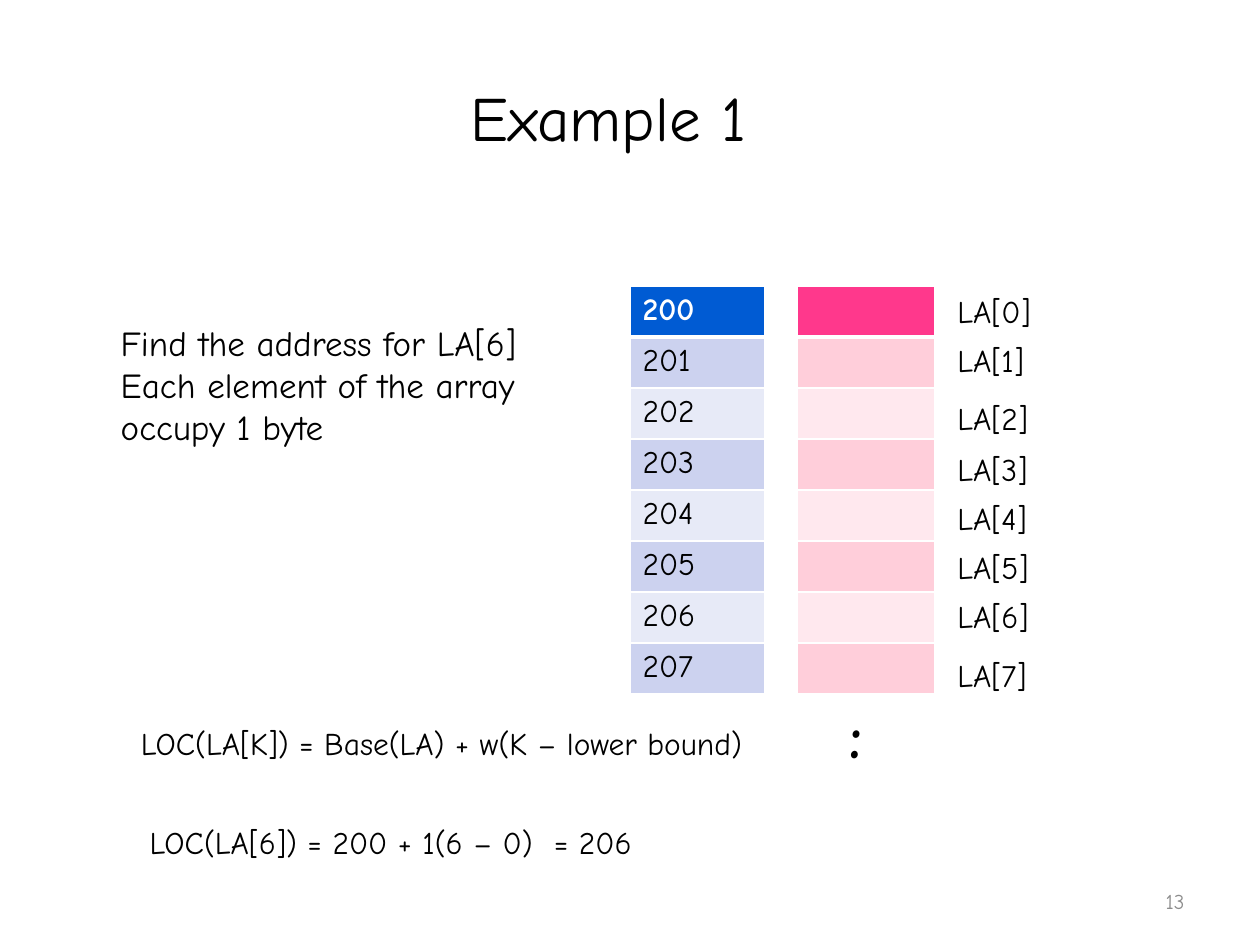
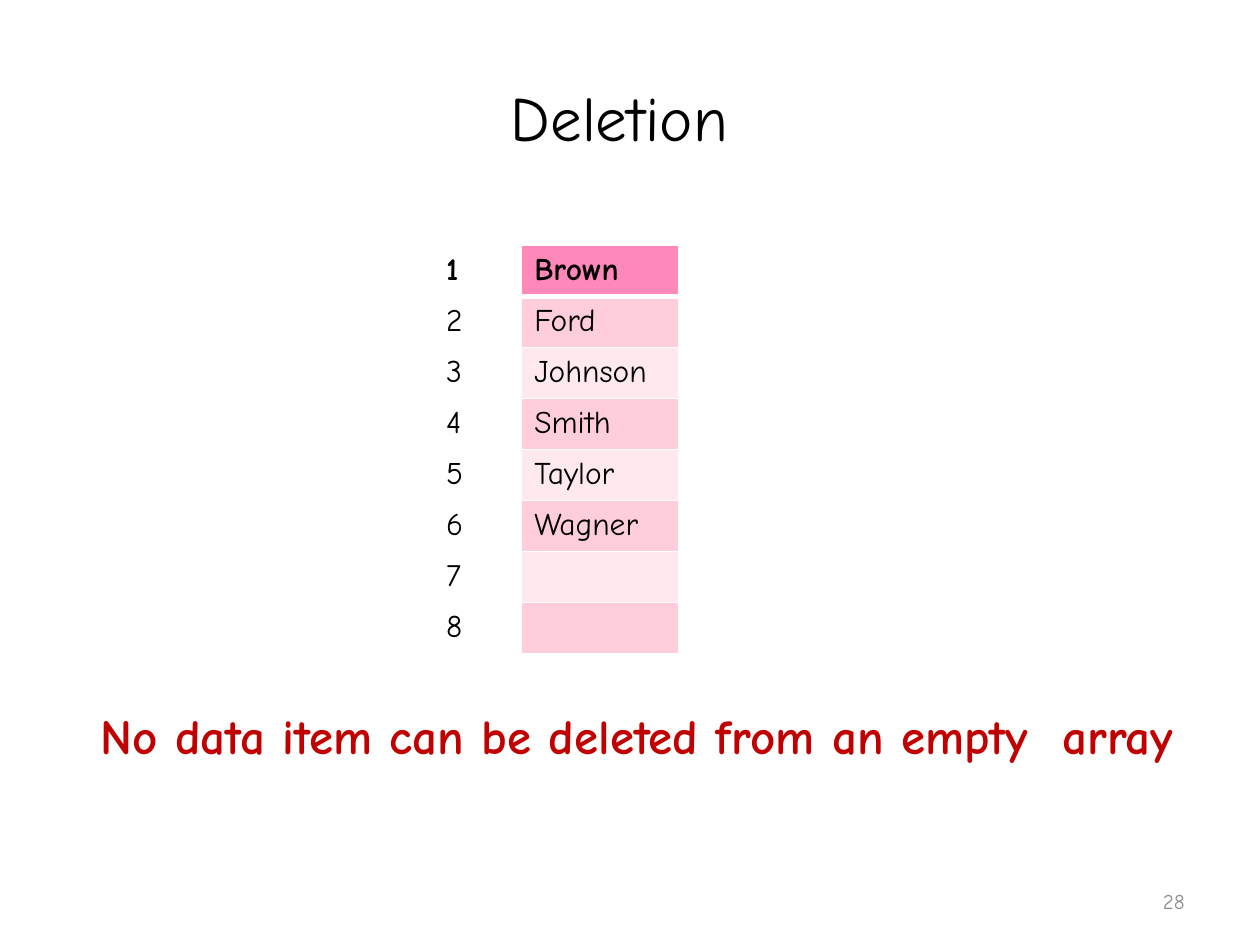
"""Build two slides on arrays: finding an address and deleting an item."""
from lxml import etree
from pptx import Presentation
from pptx.dml.color import RGBColor
from pptx.enum.text import MSO_ANCHOR, PP_ALIGN
from pptx.oxml.ns import qn
from pptx.util import Inches, Pt

LEFT, MID, RIGHT = PP_ALIGN.LEFT, PP_ALIGN.CENTER, PP_ALIGN.RIGHT
TOP, CENTER = MSO_ANCHOR.TOP, MSO_ANCHOR.MIDDLE
color = RGBColor.from_string
FONT = "Comic Neue"
BLACK, WHITE, GRAY, RED = "000000", "FFFFFF", "8C8C8C", "C00000"
PINKS = ["FFCEDA", "FFE8EE"]
BLUES = ["CCD2EF", "E7EAF7"]


def write(slide, text, box, size=18, ink=BLACK, bold=False, align=LEFT, anchor=TOP):
    frame = slide.shapes.add_textbox(*map(Inches, box)).text_frame
    frame.word_wrap = True
    frame.vertical_anchor = anchor
    frame.text = text
    for para in frame.paragraphs:
        para.alignment = align
        para.font.name, para.font.size, para.font.bold = FONT, Pt(size), bold
        para.font.color.rgb = color(ink)


def grid(slide, left, top, columns):
    count = len(columns[0][1])
    width = sum(column[0] for column in columns)
    table = slide.shapes.add_table(count, len(columns), Inches(left), Inches(top),
                                   Inches(width), Inches(3.24)).table
    table.first_row = table.horz_banding = False
    for col, (wide, words, head, ink, bands) in enumerate(columns):
        table.columns[col].width = Inches(wide)
        for row, word in enumerate(words):
            cell = table.cell(row, col)
            cell.text = word
            font = cell.text_frame.paragraphs[0].font
            font.name, font.size, font.bold = FONT, Pt(18), row == 0
            font.color.rgb = color(BLACK if row else ink)
            if bands:
                cell.fill.solid()
                cell.fill.fore_color.rgb = color(bands[(row - 1) % 2] if row else head)
            else:
                cell.fill.background()
            weights = {"lnL": 1, "lnR": 1, "lnT": 3 if row == 1 else 1,
                       "lnB": 1 if row else 3}
            for place, (side, points) in enumerate(weights.items()):
                line = etree.Element(qn("a:" + side), w=str(Pt(points)))
                solid = etree.SubElement(line, qn("a:solidFill"))
                etree.SubElement(solid, qn("a:srgbClr"), val=WHITE)
                cell._tc.get_or_add_tcPr().insert(place, line)


deck = Presentation()
deck.slide_width, deck.slide_height = Inches(10), Inches(7.5)
slides = []
for title, number in [("Example 1  ", "13"), ("Deletion ", "28")]:
    slide = deck.slides.add_slide(deck.slide_layouts[6])
    write(slide, title, (0.5, 0.3, 9, 1.25), 36, align=MID, anchor=CENTER)
    write(slide, number, (7.17, 6.95, 2.33, 0.4), 12, GRAY, align=RIGHT, anchor=CENTER)
    slides.append(slide)
example, deletion = slides

grid(example, 6.33, 2.27, [(1.09, [""] * 8, "FF388C", WHITE, PINKS)])
cells = [str(200 + k) for k in range(8)]
grid(example, 5, 2.27, [(1.07, cells, "005BD3", WHITE, BLUES)])
for k, top in enumerate([2.27, 2.66, 3.12, 3.52, 3.91, 4.3, 4.69, 5.16]):
    write(example, f"LA[{k}]", (7.5, top, 0.94, 0.4))
write(example, "Find the address for LA[6]\nEach element of the array occupy 1 byte  ",
      (0.86, 2.5, 3.98, 1.11), 20)
write(example, "LOC(LA[K]) = Base(LA) + w(K – lower bound)", (1.02, 5.7, 5.63, 0.4))
write(example, "LOC(LA[6]) = 200 + 1(6 – 0)  = 206 ", (1.09, 6.48, 5.47, 0.4))
write(example, ":", (6.64, 5.47, 1.72, 0.71), 36, bold=True)

names = ["Brown", "Ford", "Johnson", "Smith", "Taylor", "Wagner ", "", ""]
ranks = [str(k) for k in range(1, 9)]
grid(deletion, 3.44, 1.95, [(0.7, ranks, None, BLACK, None),
                            (1.25, names, "FF88BA", BLACK, PINKS)])
write(deletion, "No data item can be deleted from an empty  array ",
      (0.7, 5.55, 8.91, 1.04), 28, RED, True)

deck.save("out.pptx")
